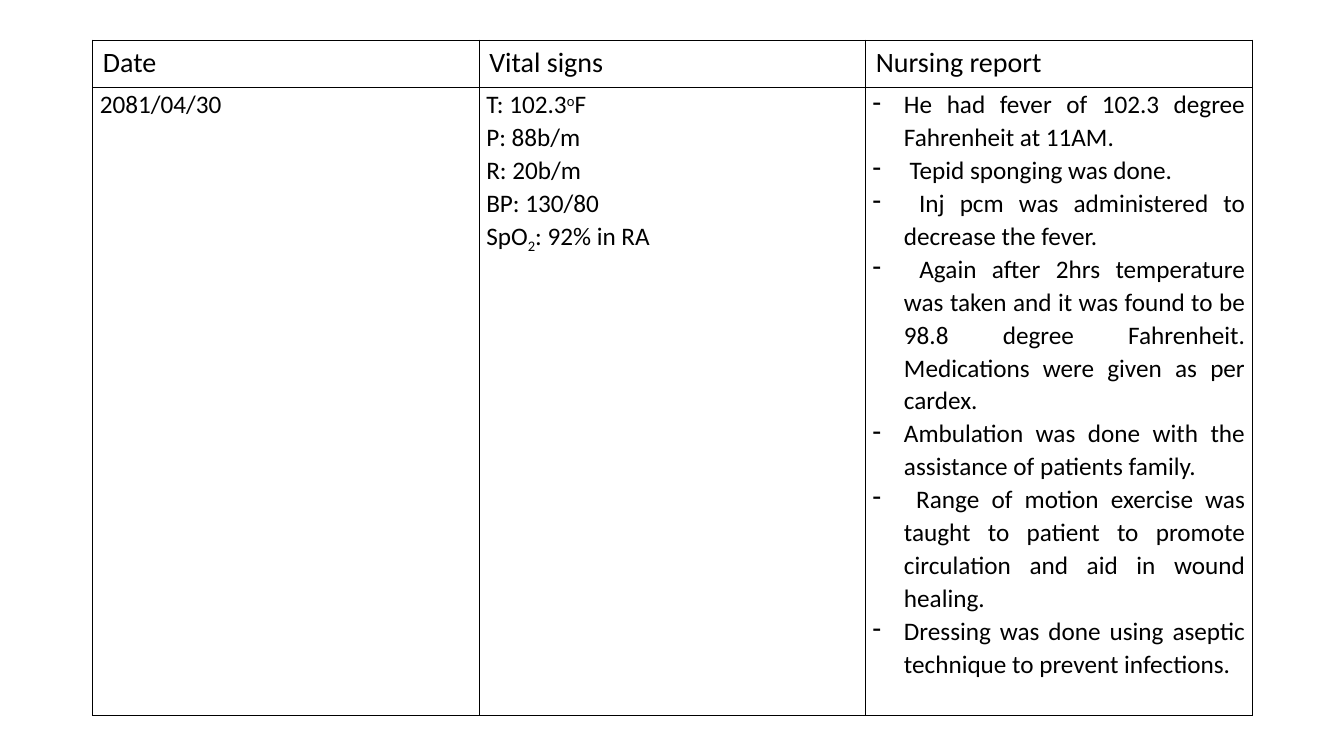
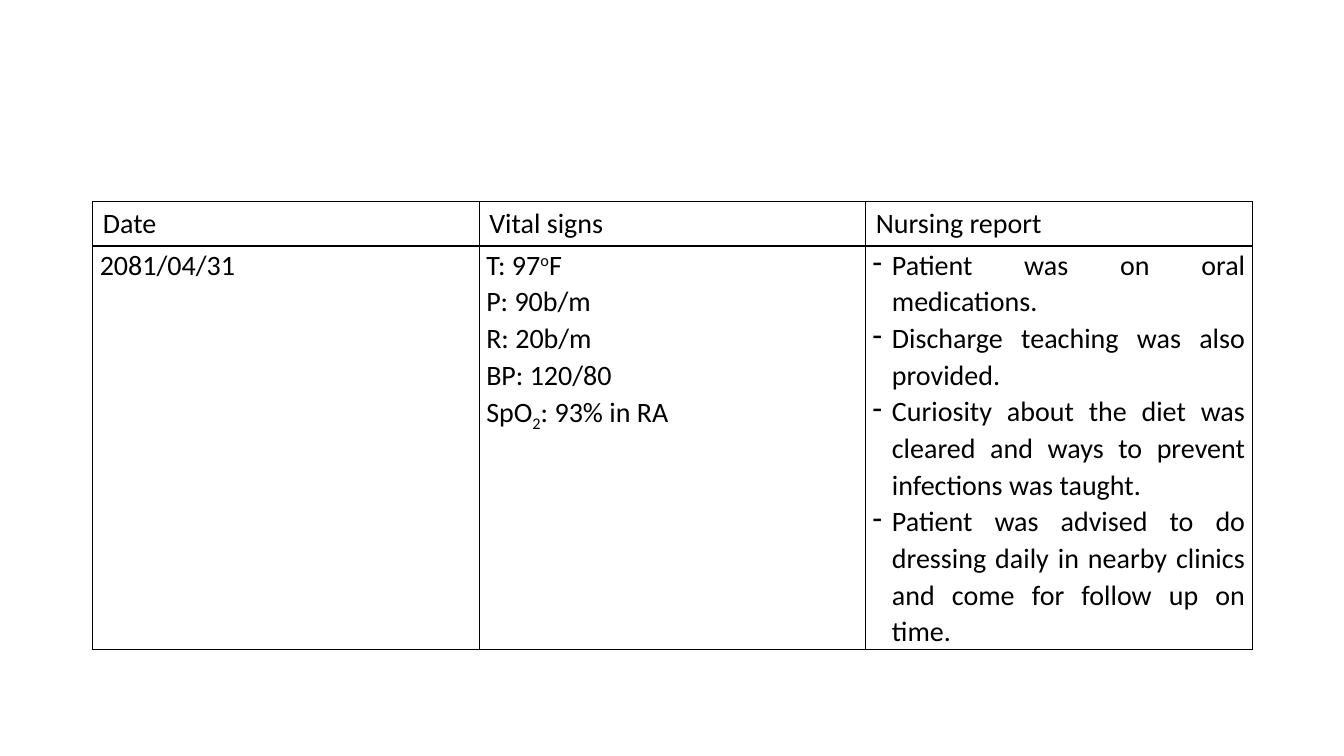
"""Build two slides of a nursing report, each with one table."""
import pptx
import pptx.util
import pptx.dml.color
import pptx.enum.text
import pptx.oxml
import pptx.oxml.ns
import lxml.etree

Inches = pptx.util.Inches
BLACK = pptx.dml.color.RGBColor(0, 0, 0)
FONT = "Calibri"
HEADS = ["Date", "Vital signs", "Nursing report"]
LEFT, WIDTH = 0.92, 11.5
RAISE, LOWER = 30, -25
MARGINS = {"margin_left": Inches(0.07), "margin_right": Inches(0.07),
           "margin_top": 0, "margin_bottom": 0}

DAYS = [
    {"top": 0.4, "rows": (0.47, 6.23), "size": 18, "indent": 0.31,
     "date": "2081/04/30", "temp": "102.3", "pulse": "88", "breath": "20",
     "press": "130/80", "oxygen": "92",
     "notes": [
         "He had fever of 102.3 degree Fahrenheit at 11AM.",
         " Tepid sponging was done.",
         " Inj pcm was administered to decrease the fever.",
         " Again after 2hrs temperature was taken and it was found to be "
         "98.8 degree Fahrenheit. Medications were given as per cardex.",
         "Ambulation was done with the assistance of patients family.",
         " Range of motion exercise was taught to patient to promote "
         "circulation and aid in wound healing.",
         "Dressing was done using aseptic technique to prevent infections.",
     ]},
    {"top": 2, "rows": (0.43, 4), "size": 20, "indent": 0.19,
     "date": "2081/04/31", "temp": "97", "pulse": "90", "breath": "20",
     "press": "120/80", "oxygen": "93",
     "notes": [
         "Patient was on oral medications.",
         "Discharge teaching was also provided.",
         "Curiosity about the diet was cleared and ways to prevent "
         "infections was taught.",
         "Patient was advised to do dressing daily in nearby clinics and "
         "come for follow up on time.",
     ]},
]


def vitals(day):
    """Return the lines of vital signs, each a list of text and baseline."""
    return [
        [("T: " + day["temp"], 0), ("o", RAISE), ("F", 0)],
        [(f"P: {day['pulse']}b/m", 0)],
        [(f"R: {day['breath']}b/m", 0)],
        [("BP: " + day["press"], 0)],
        [("SpO", 0), ("2", LOWER), (f": {day['oxygen']}% in RA", 0)],
    ]


def plain(*texts):
    """Return one line of a single run for each text."""
    return [[(text, 0)] for text in texts]


def frame(cell):
    """Give a cell thin black borders and no fill."""
    props = cell._tc.get_or_add_tcPr()
    for side in ("a:lnL", "a:lnR", "a:lnT", "a:lnB"):
        line = lxml.etree.SubElement(props, pptx.oxml.ns.qn(side), w="12700")
        fill = lxml.etree.SubElement(line, pptx.oxml.ns.qn("a:solidFill"))
        lxml.etree.SubElement(fill, pptx.oxml.ns.qn("a:srgbClr"), val=str(BLACK))
    cell.fill.background()


def dash(para, indent):
    """Justify a paragraph and hang it from a dash."""
    para.alignment = pptx.enum.text.PP_ALIGN.JUSTIFY
    props = para._p.get_or_add_pPr()
    props.set("marL", str(Inches(indent)))
    props.set("indent", str(-Inches(indent)))
    lxml.etree.SubElement(props, pptx.oxml.ns.qn("a:buChar"), char="-")


def write(cell, lines, size, spacing=None, indent=None):
    """Write lines of runs into a cell."""
    style = {"name": FONT, "size": pptx.util.Pt(size), "bold": False}
    body = cell.text_frame
    for index, line in enumerate(lines):
        para = body.add_paragraph() if index else body.paragraphs[0]
        para.line_spacing = spacing
        if indent:
            dash(para, indent)
        for text, base in line:
            run = para.add_run()
            run.text = text
            for name, value in style.items():
                setattr(run.font, name, value)
            run.font.color.rgb = BLACK
            if base:
                run._r.get_or_add_rPr().set("baseline", str(base * 1000))


def report(deck, day):
    """Add the slide of one day."""
    slide = deck.slides.add_slide(deck.slide_layouts[6])
    table = slide.shapes.add_table(
        2, len(HEADS), Inches(LEFT), Inches(day["top"]),
        Inches(WIDTH), Inches(sum(day["rows"]))).table
    table.first_row = table.horz_banding = False
    for row, height in zip(table.rows, day["rows"]):
        row.height = Inches(height)
    bodies = [plain(day["date"]), vitals(day), plain(*day["notes"])]
    indents = [None, None, day["indent"]]
    for col, (head, lines, indent) in enumerate(zip(HEADS, bodies, indents)):
        top, body = table.cell(0, col), table.cell(1, col)
        frame(top)
        frame(body)
        write(top, plain(head), 20)
        for name, value in MARGINS.items():
            setattr(body, name, value)
        write(body, lines, day["size"], 1.07, indent)


def main():
    """Build and save the deck."""
    deck = pptx.Presentation()
    deck.slide_width, deck.slide_height = Inches(13.33), Inches(7.5)
    for day in DAYS:
        report(deck, day)
    deck.save("out.pptx")


if __name__ == "__main__":
    main()
